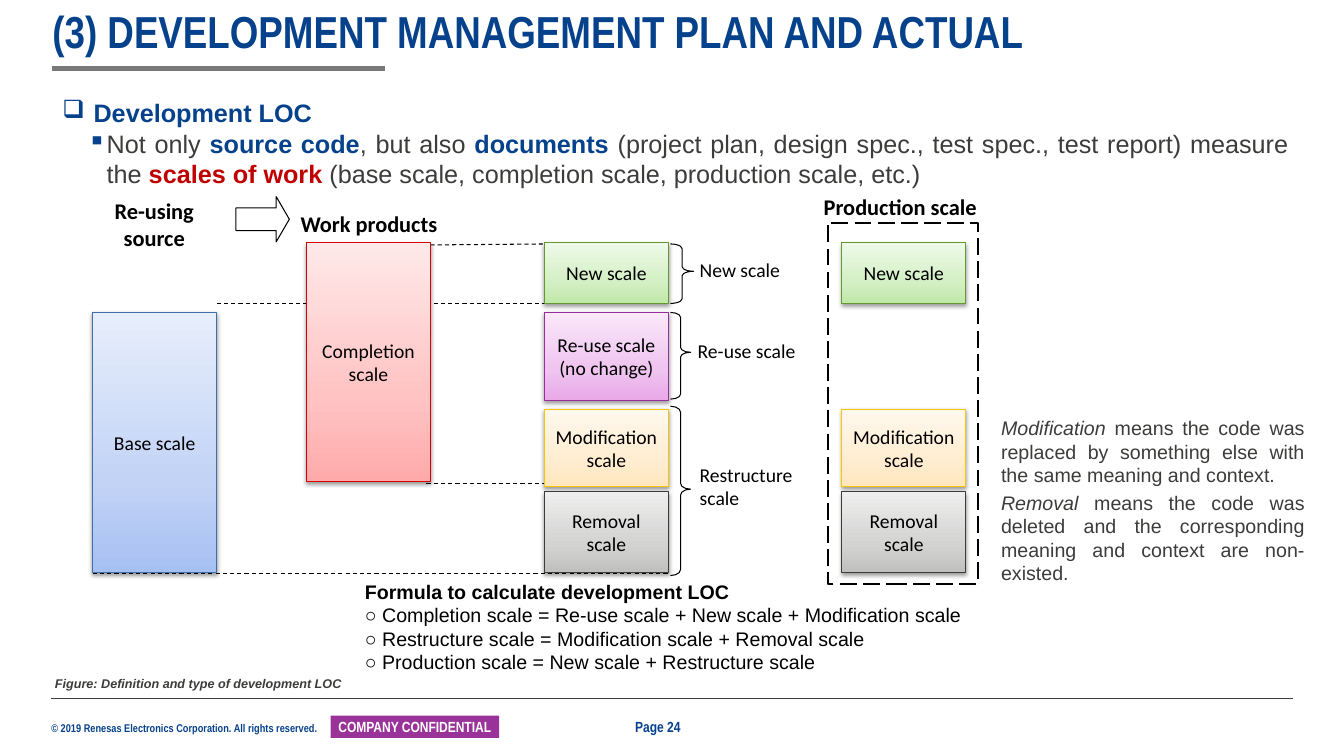
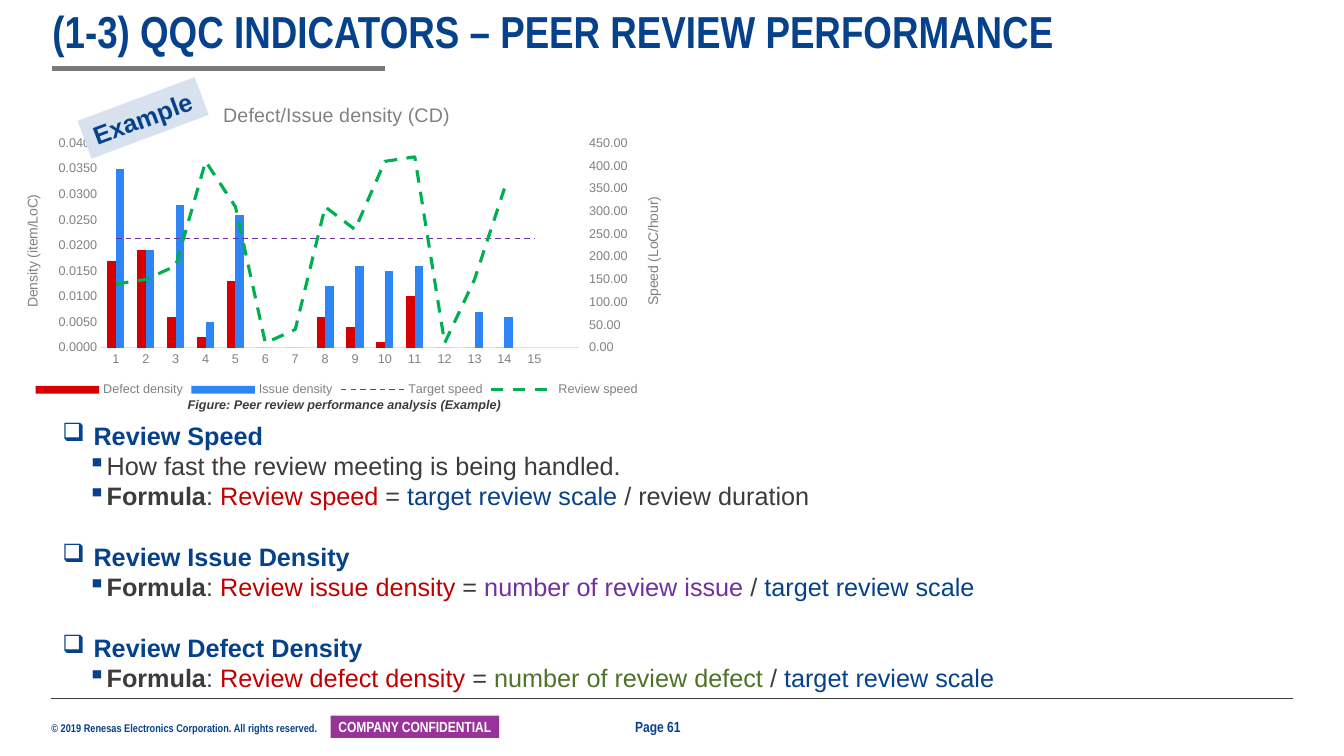
"""Builds two slides on development scale and peer review indicators."""
from copy import deepcopy

from pptx import Presentation
from pptx.chart.data import CategoryChartData
from pptx.dml.color import RGBColor
from pptx.enum import chart as ch, dml, shapes, text
from pptx.oxml import parse_xml
from pptx.oxml.ns import nsdecls, qn
from pptx.util import Inches, Pt

BLUE, INK, GREY, RED, PURPLE, GREEN, BADGE, PALE_BLUE = map(RGBColor.from_string, (
    "06418C", "3C3C3B", "797979", "C00000", "7030A0", "4D7326", "993399", "D8E2EF"))
BLACK, WHITE, BAR_RED, BAR_BLUE, LINE_GREEN, AXIS_GREY, AXIS_LINE = map(RGBColor.from_string, (
    "000000", "FFFFFF", "D70000", "2E86F6", "00B050", "81817F", "E2E2E1"))

LEFT, CENTER, JUSTIFY = text.PP_ALIGN.LEFT, text.PP_ALIGN.CENTER, text.PP_ALIGN.JUSTIFY
TOP, MIDDLE, BOTTOM = text.MSO_ANCHOR.TOP, text.MSO_ANCHOR.MIDDLE, text.MSO_ANCHOR.BOTTOM
DASH, LONG_DASH = dml.MSO_LINE.DASH, dml.MSO_LINE.LONG_DASH
RECT, BRACE, ARROW = (shapes.MSO_SHAPE.RECTANGLE, shapes.MSO_SHAPE.RIGHT_BRACE,
                      shapes.MSO_SHAPE.RIGHT_ARROW)

NARROW = dict(font="Arial Narrow", color=BLUE, bold=True, inset=(0, 0))
LABEL = dict(font="Calibri", color=BLACK, inset=(0.08, 0.01))
CAPTION = dict(size=9, bold=True, italic=True, align=CENTER, after=10)
BULLETS = [("❑", 0.31, 0.31), ("▪", 0.44, 0.19)]
BOLD, STRONG = dict(bold=True), dict(color=BLUE, bold=True)
TARGET = ("target review scale", dict(color=BLUE))


def formula(result, part, divisor):
    return (1, [("Formula", BOLD), ": ", (result, dict(color=RED)), " = ", part, " / ", divisor])


LOC_OUTLINE = [
    (0, [("Development LOC", STRONG)]),
    (1, ["Not only ", ("source code", STRONG), ", but also ", ("documents ", STRONG),
         "(project plan, design spec., test spec., test report) measure the ",
         ("scales of work", dict(color=RED, bold=True)),
         " (base scale, completion scale, production scale, etc.)"]),
]
REVIEW_OUTLINE = [
    (0, [("Review Speed", STRONG)]),
    (1, ["How fast the review meeting is being handled."]),
    formula("Review speed", TARGET, "review duration"),
    (0, [("Review Issue Density", STRONG)]),
    formula("Review issue density", ("number of review issue", dict(color=PURPLE)), TARGET),
    (0, [("Review Defect Density", STRONG)]),
    formula("Review defect density", ("number of review defect", dict(color=GREEN)), TARGET),
]
FORMULAS = [
    [("Formula to calculate development LOC", BOLD)],
    "○ Completion scale = Re-use scale + New scale + Modification scale",
    "○ Restructure scale = Modification scale + Removal scale",
    "○ Production scale = New scale + Restructure scale",
]
NOTES = [
    (4.08, 0.81, "Modification",
     " means the code was replaced by something else with the same meaning and context."),
    (4.82, 1.04, "Removal",
     " means the code was deleted and the corresponding meaning and context are non-existed."),
]

SCALE_W, PARTS_X = 1.23, 5.4
SCALES = {
    "base": (["Base scale"], 3.1, 2.58, "406EA8", ("A7C0F3", "C2D3F5", "E7EEFC")),
    "completion": (["Completion scale"], 2.41, 2.37, "D20000", ("FFAAAA", "FFC3C3", "FFE8E8")),
    "new": (["New scale"], 2.41, 0.6, "64982F", ("C0E9A9", "D3EFC4", "EEFAE8")),
    "reuse": (["Re-use scale", "(no change)"], 3.1, 0.87, "982F98", ("E9A9E9", "EFC4EF", "FAE8FA")),
    "modification": (["Modification scale"], 4.06, 0.77, "F9C400", ("FFE6BD", "FFEDD1", "FFF8EE")),
    "removal": (["Removal scale"], 4.88, 0.8, "3B3B3A", ("C0C0BF", "D3D3D2", "EEEEEE")),
}
COLUMNS = [(0.92, ["base"]), (3.04, ["completion"]),
           (PARTS_X, ["new", "reuse", "modification", "removal"]),
           (8.35, ["new", "modification", "removal"])]
GUIDES = [(4.27, 2.43, 2.41), (2.15, 3.01, 3.01), (4.23, 4.8, 4.8), (0.92, 5.69, 5.69)]
BRACES = [(2.42, 0.23, 0.59, 0.2, 0.46), (3.1, 0.2, 0.86, 0.24, 0.46), (4.03, 0.2, 1.68, 0.29, 0.49)]
SIDE_LABELS = [("New scale", 6.86, 2.55, 0.33), ("Re-use scale", 6.84, 3.35, 0.25),
               ("Restructure scale", 6.86, 4.58, 0.51)]
HEADINGS = [("Re-using source", (1.03, 1.95, 1, 0.53), CENTER),
            ("Work products", (2.86, 2.08, 1.6, 0.3), CENTER),
            ("Production scale", (8.09, 1.91, 1.74, 0.32), LEFT)]

CATEGORIES = [str(n) for n in range(1, 16)] + [""]
BARS = [
    ("Defect density", BAR_RED, [0.017, 0.019, 0.006, 0.002, 0.013, 0, 0, 0.006, 0.004,
                                 0.001, 0.01, 0, 0, 0, None, None]),
    ("Issue density", BAR_BLUE, [0.035, 0.019, 0.028, 0.005, 0.026, 0, 0, 0.012, 0.016,
                                 0.015, 0.016, 0, 0.007, 0.006, None, None]),
]
LINES = [
    ("Target speed", PURPLE, [240] * 15 + [None], 1),
    ("Review speed", LINE_GREEN, [140, 150, 180, 410, 310, 10, 40, 310, 260, 410, 420,
                                  10, 150, 350, None, None], 2.25),
]


def write(sp, paras, size=14, font="Arial", color=INK, bold=False, italic=False, align=LEFT,
          anchor=TOP, inset=(0.1, 0.05), wrap=True, after=0, spacing=None):
    tf = sp.text_frame
    tf.word_wrap, tf.vertical_anchor = wrap, anchor
    tf.margin_left = tf.margin_right = Inches(inset[0])
    tf.margin_top = tf.margin_bottom = Inches(inset[1])
    for i, para in enumerate([paras] if isinstance(paras, str) else paras):
        p = tf.add_paragraph() if i else tf.paragraphs[0]
        p.alignment, p.space_after, p.line_spacing = align, Pt(after), spacing
        for run in [para] if isinstance(para, str) else para:
            words, own = (run, {}) if isinstance(run, str) else run
            r = p.add_run()
            r.text = words
            r.font.name, r.font.size = font, Pt(size)
            r.font.color.rgb = own.get("color", color)
            r.font.bold, r.font.italic = own.get("bold", bold), own.get("italic", italic)
    return tf


def text_box(slide, box, paras, **fmt):
    return write(slide.shapes.add_textbox(*map(Inches, box)), paras, **fmt)


def shape(slide, kind, box, fill=None, line=None, width=0.75, dash=None):
    sp = slide.shapes.add_shape(kind, *map(Inches, box))
    sp.fill.background()
    if fill is not None:
        sp.fill.solid()
        sp.fill.fore_color.rgb = fill
    sp.line.fill.background()
    if line is not None:
        sp.line.color.rgb, sp.line.width, sp.line.dash_style = line, Pt(width), dash
    sp.shadow.inherit = False
    return sp


def rule(slide, ends, color, width, dash=None):
    cn = slide.shapes.add_connector(shapes.MSO_CONNECTOR.STRAIGHT, *map(Inches, ends))
    cn.line.color.rgb, cn.line.width, cn.line.dash_style = color, Pt(width), dash
    cn._element.spPr.append(parse_xml(f'<a:effectLst {nsdecls("a")}/>'))


def outline(slide, top, height, items):
    tf = text_box(slide, (0.52, top, 12.36, height), [runs for _, runs in items],
                  size=18, align=JUSTIFY)
    for i, (p, (level, _)) in enumerate(zip(tf.paragraphs, items)):
        char, left, hang = BULLETS[level]
        p.level = level
        if i and level == 0:
            p.space_before = Pt(21.7)
        pPr = p._p.get_or_add_pPr()
        pPr.set("marL", str(Inches(left)))
        pPr.set("indent", str(-Inches(hang)))
        pPr.append(parse_xml(f'<a:buClr {nsdecls("a")}><a:srgbClr val="{BLUE}"/></a:buClr>'))
        pPr.append(parse_xml(f'<a:buChar {nsdecls("a")} char="{char}"/>'))


def scale_block(slide, x, name):
    label, top, height, edge, tones = SCALES[name]
    sp = shape(slide, RECT, (x, top, SCALE_W, height), WHITE, RGBColor.from_string(edge))
    write(sp, label, align=CENTER, anchor=MIDDLE, **LABEL)
    stops = "".join(f'<a:gs pos="{pos}"><a:srgbClr val="{tone}"/></a:gs>'
                    for pos, tone in zip((0, 35000, 100000), tones))
    spPr = sp._element.spPr
    spPr.replace(spPr.find(qn("a:solidFill")), parse_xml(
        f'<a:gradFill {nsdecls("a")} rotWithShape="1"><a:gsLst>{stops}</a:gsLst>'
        '<a:lin ang="16200000" scaled="1"/></a:gradFill>'))
    spPr.find(qn("a:effectLst")).append(parse_xml(
        f'<a:outerShdw {nsdecls("a")} blurRad="{Pt(3.1)}" dist="{Pt(1.6)}" dir="5400000" rotWithShape="0">'
        '<a:srgbClr val="000000"><a:alpha val="38000"/></a:srgbClr></a:outerShdw>'))


def base_slide(prs, title, page):
    slide = prs.slides.add_slide(prs.slide_layouts[6])
    text_box(slide, (0.51, 7.16, 2.68, 0.13), "© 2019 Renesas Electronics Corporation. All rights reserved.",
             size=8, wrap=False, **NARROW)
    rule(slide, (0.51, 6.93, 12.82, 6.93), INK, 0.5)
    badge = shape(slide, RECT, (3.28, 7.1, 1.67, 0.22), BADGE)
    write(badge, "COMPANY CONFIDENTIAL", size=10.5, align=CENTER, anchor=MIDDLE,
          **{**NARROW, "color": WHITE, "inset": (0.04, 0)})
    rule(slide, (0.52, 0.68, 3.82, 0.68), GREY, 3)
    text_box(slide, (0.52, 0.1, 12.36, 0.48), title, size=32, anchor=BOTTOM, spacing=0.9, **NARROW)
    text_box(slide, (6.3, 7.12, 0.73, 0.18), f"Page {page}", size=10.5, anchor=MIDDLE, **NARROW)
    return slide


def loc_slide(prs):
    slide = base_slide(prs, "(3) DEVELOPMENT MANAGEMENT PLAN AND ACTUAL", 24)
    outline(slide, 0.92, 1.01, LOC_OUTLINE)
    text_box(slide, (3.52, 5.7, 6.16, 1.22), FORMULAS, color=BLACK)
    shape(slide, RECT, (8.21, 2.21, 1.49, 3.58), line=BLACK, width=1.5, dash=LONG_DASH)
    for x, y1, y2 in GUIDES:
        rule(slide, (x, y1, PARTS_X + SCALE_W, y2), BLACK, 0.75, DASH)
    for x, names in COLUMNS:
        for name in names:
            scale_block(slide, x, name)
    arrow = shape(slide, ARROW, (2.34, 1.95, 0.53, 0.45), WHITE, BLACK)
    arrow.adjustments[1] = 0.29
    for top, width, height, curl, point in BRACES:
        brace = shape(slide, BRACE, (6.65, top, width, height), line=BLACK)
        brace.adjustments[0], brace.adjustments[1] = curl, point
    for label, x, y, height in SIDE_LABELS:
        text_box(slide, (x, y, SCALE_W, height), label, **LABEL)
    for label, box, align in HEADINGS:
        text_box(slide, box, label, size=16, bold=True, align=align, **LABEL)
    for top, height, term, meaning in NOTES:
        text_box(slide, (9.83, top, 3.21, height), [[(term, dict(italic=True)), meaning]], align=JUSTIFY)
    text_box(slide, (0.37, 6.66, 3.19, 0.26), "Figure: Definition and type of development LOC", **CAPTION)


def chart_title(title, words, size):
    title.text_frame.text = words
    font = title.text_frame.paragraphs[0].runs[0].font
    font.name, font.size, font.bold, font.color.rgb = "Arial", Pt(size), False, AXIS_GREY


def add_speed_axis(chart):
    bars = chart.plots[0]._element
    lines = parse_xml(f'<c:lineChart {nsdecls("c")}><c:grouping val="standard"/><c:varyColors val="0"/>'
                      '<c:marker val="1"/><c:axId val="901"/><c:axId val="902"/></c:lineChart>')
    for ser in bars.findall(qn("c:ser"))[len(BARS):]:
        for flag in ser.findall(qn("c:invertIfNegative")):
            ser.remove(flag)
        lines.find(qn("c:marker")).addprevious(ser)
    bars.addnext(lines)
    left, cats = chart.value_axis._element, chart.category_axis._element
    right, hidden = deepcopy(left), deepcopy(cats)
    for axis, values in (
            (right, dict(axId="902", crossAx="901", axPos="r", crosses="max", majorTickMark="out", majorUnit="50")),
            (hidden, dict(axId="901", crossAx="902", delete="1"))):
        for tag, val in values.items():
            axis.find(qn(f"c:{tag}")).set("val", val)
    right.find(qn("c:numFmt")).set("formatCode", "0.00")
    right.find(qn("c:scaling")).find(qn("c:max")).set("val", "450")
    next(right.iter(qn("a:t"))).text = "Speed (LoC/hour)"
    left.addnext(right)
    right.addnext(hidden)


def review_chart(slide):
    data = CategoryChartData()
    data.categories = CATEGORIES
    for name, _, values, *_ in BARS + LINES:
        data.add_series(name, values)
    box = map(Inches, (0, 0.86, 6.68, 3.12))
    chart = slide.shapes.add_chart(ch.XL_CHART_TYPE.COLUMN_CLUSTERED, *box, data).chart
    chart.font.name, chart.font.size, chart.font.color.rgb = "Arial", Pt(9), AXIS_GREY
    chart.has_title = chart.has_legend = True
    chart_title(chart.chart_title, "Defect/Issue density (CD)", 14)
    chart.legend.position, chart.legend.include_in_layout = ch.XL_LEGEND_POSITION.BOTTOM, False
    cats, vals = chart.category_axis, chart.value_axis
    cats.format.line.color.rgb, cats.format.line.width = AXIS_LINE, Pt(0.75)
    vals.format.line.fill.background()
    cats.major_tick_mark = vals.major_tick_mark = ch.XL_TICK_MARK.NONE
    vals.has_major_gridlines = False
    vals.minimum_scale, vals.maximum_scale, vals.major_unit = 0, 0.04, 0.005
    vals.tick_labels.number_format, vals.tick_labels.number_format_is_linked = "0.0000", False
    chart_title(vals.axis_title, "Density (item/LoC)", 10)
    vals.axis_title.text_frame._txBody.bodyPr.set("rot", "-5400000")
    add_speed_axis(chart)
    bars, lines = chart.plots
    bars.gap_width, bars.overlap = 150, 0
    bars.vary_by_categories = lines.vary_by_categories = False
    for ser, (_, color, _) in zip(bars.series, BARS):
        ser.format.fill.solid()
        ser.format.fill.fore_color.rgb = color
    for ser, (_, color, _, width) in zip(lines.series, LINES):
        ser.smooth, ser.marker.style = False, ch.XL_MARKER_STYLE.NONE
        line = ser.format.line
        line.color.rgb, line.width, line.dash_style = color, Pt(width), DASH
    plot_area = bars._element.getparent()
    for old in plot_area.findall(qn("c:layout")):
        plot_area.remove(old)
    frame = "".join(f'<c:{tag} val="{val}"/>' for tag, val in (
        ("layoutTarget", "inner"), ("xMode", "edge"), ("yMode", "edge"),
        ("x", 0.15), ("y", 0.18), ("w", 0.71), ("h", 0.65)))
    plot_area.insert(0, parse_xml(
        f'<c:layout {nsdecls("c")}><c:manualLayout>{frame}</c:manualLayout></c:layout>'))


def review_slide(prs):
    slide = base_slide(prs, "(1-3) QQC INDICATORS – PEER REVIEW PERFORMANCE", 61)
    review_chart(slide)
    tag = shape(slide, RECT, (0.8, 0.97, 1.24, 0.4), PALE_BLUE)
    tag.rotation = 339.5
    write(tag, "Example", size=18, color=BLUE, bold=True, wrap=False)
    outline(slide, 4.12, 2.83, REVIEW_OUTLINE)
    text_box(slide, (1.23, 3.89, 4.37, 0.25), "Figure: Peer review performance analysis (Example)", **CAPTION)


prs = Presentation()
prs.slide_width, prs.slide_height = Inches(13.33), Inches(7.5)
loc_slide(prs)
review_slide(prs)
prs.save("out.pptx")
